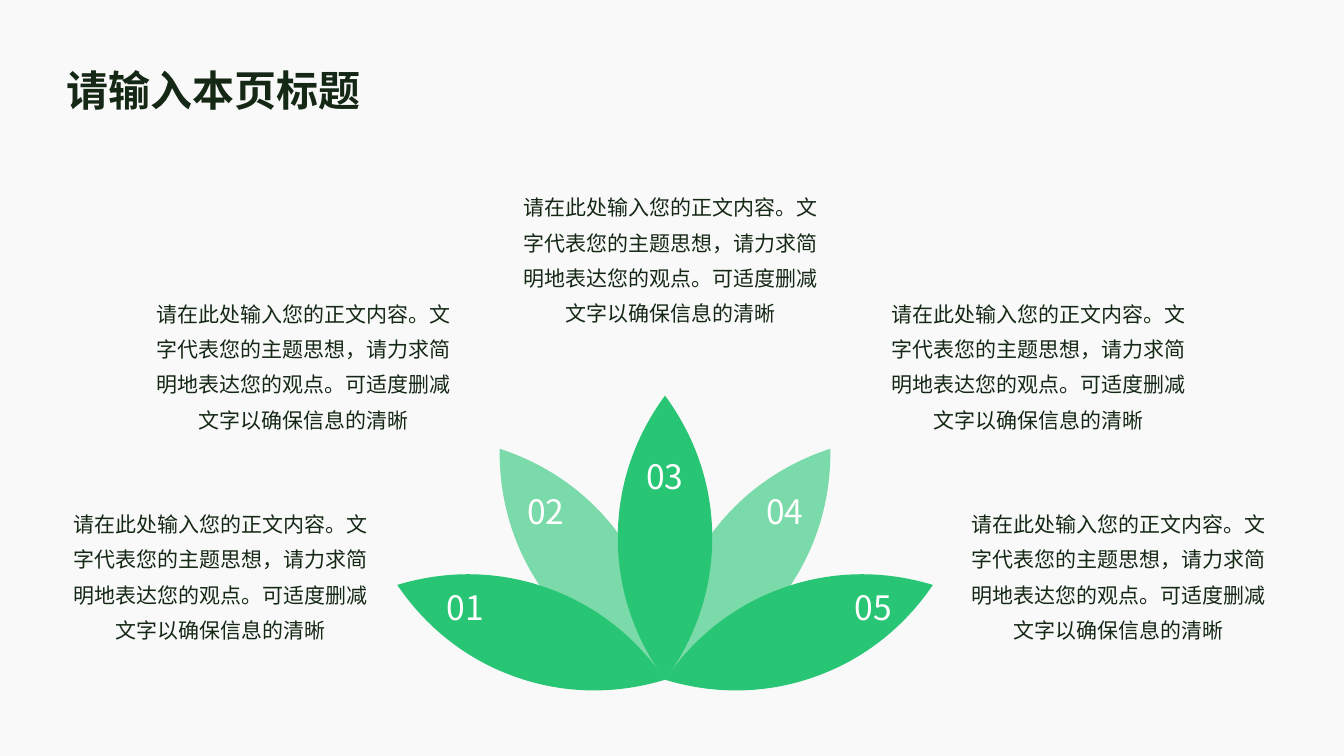
import math
from dataclasses import dataclass

from lxml import etree
from pptx import Presentation
from pptx.dml.color import RGBColor
from pptx.enum import text
from pptx.oxml.ns import qn
from pptx.util import Cm, Pt

TITLE = "请输入本页标题"
BODY = "请在此处输入您的正文内容。文字代表您的主题思想，请力求简明地表达您的观点。可适度删减文字以确保信息的清晰"

# Lengths in cm: number centre, body left and top; lean in degrees from upright
PETALS = [
    dict(label="01", lean=-70.5, light=False, number=(11.73, 15.3), body=(1.49, 12.54)),
    dict(label="02", lean=-35.6, light=True, number=(13.76, 12.89), body=(3.58, 7.24)),
    dict(label="03", lean=0, light=False, number=(16.76, 12), body=(12.83, 4.56)),
    dict(label="04", lean=35.6, light=True, number=(19.78, 12.89), body=(22.1, 7.24)),
    dict(label="05", lean=70.5, light=False, number=(22.01, 15.3), body=(24.12, 12.54)),
]
STACK = [4, 3, 0, 1, 2]  # back to front
FLOWER_BASE = (16.76, 17.13)
PETAL_LENGTH = 7.16
PETAL_QUARTER = [(0, 0), (0.75, 1.02), (1.19, 2.24), (1.19, 3.58)]  # base to widest
BODY_SIZE = (8.15, 4.06)
NUMBER_SIZE = (2.36, 1.35)


@dataclass(frozen=True)
class Theme:
    font: str = "Noto Sans CJK SC"
    background: str = "F9F9F9"
    ink: str = "152815"
    petal: str = "28C674"
    number: str = "FFFFFF"
    light_alpha: int = 60
    title_size: int = 30
    body_size: int = 15
    number_size: int = 24
    spacing: float = 1.4


THEME = Theme()
LEFT, CENTER = text.PP_ALIGN.LEFT, text.PP_ALIGN.CENTER
TOP, MID = text.MSO_ANCHOR.TOP, text.MSO_ANCHOR.MIDDLE
TITLE_FORMAT = dict(size=THEME.title_size, color=THEME.ink, bold=True, align=LEFT,
                    anchor=MID, spacing=THEME.spacing, insets=(0.36, 0.36, 0.15, 0.36))
BODY_FORMAT = dict(size=THEME.body_size, color=THEME.ink, bold=False, align=CENTER,
                   anchor=TOP, spacing=THEME.spacing, insets=(0.18, 0.1, 0.18, 0.1))
NUMBER_FORMAT = dict(size=THEME.number_size, color=THEME.number, bold=False, align=CENTER,
                     anchor=MID, spacing=1.0, insets=(0.25, 0.13, 0.25, 0.13))


def add_text(slide, words, box, fmt):
    tf = slide.shapes.add_textbox(*map(Cm, box)).text_frame
    frame = dict(word_wrap=True, vertical_anchor=fmt["anchor"])
    for side, inset in zip(("left", "top", "right", "bottom"), fmt["insets"]):
        frame[f"margin_{side}"] = Cm(inset)
    p = tf.paragraphs[0]
    r = p.add_run()
    r.text = words
    r.font.color.rgb = RGBColor.from_string(fmt["color"])
    for target, values in (
        (tf, frame),
        (p, dict(alignment=fmt["align"], line_spacing=fmt["spacing"])),
        (r.font, dict(name=THEME.font, size=Pt(fmt["size"]), bold=fmt["bold"])),
    ):
        for name, value in values.items():
            setattr(target, name, value)
    etree.SubElement(r.font._element, qn("a:ea"), typeface=THEME.font)


def petal_points(lean):
    """Curve points of an upright petal turned clockwise about its base."""
    right = PETAL_QUARTER + [(x, PETAL_LENGTH - y) for x, y in PETAL_QUARTER[-2::-1]]
    outline = right + [(-x, y) for x, y in right[-2::-1]]
    cos, sin = math.cos(math.radians(lean)), math.sin(math.radians(lean))
    base_x, base_y = FLOWER_BASE
    return [(Cm(base_x + x * cos + y * sin), Cm(base_y + x * sin - y * cos))
            for x, y in outline]


def curve_segments(sp):
    """Turn each three straight segments into one cubic curve."""
    lines = list(sp._element.iter(qn("a:lnTo")))
    for first, second, third in zip(*[iter(lines)] * 3):
        first.tag = qn("a:cubicBezTo")
        curve = etree.Element(qn("a:cubicBezTo"))
        first.addprevious(curve)
        for line in (first, second, third):
            curve.append(line[0])
            line.getparent().remove(line)


def add_petal(slide, petal):
    start, *rest = petal_points(petal["lean"])
    builder = slide.shapes.build_freeform(*start)
    builder.add_line_segments(rest, close=True)
    sp = builder.convert_to_shape()
    curve_segments(sp)
    sp.shadow.inherit = False
    sp.line.fill.background()
    sp.fill.solid()
    sp.fill.fore_color.rgb = RGBColor.from_string(THEME.petal)
    if petal["light"]:
        color = sp._element.spPr.find(qn("a:solidFill")).find(qn("a:srgbClr"))
        etree.SubElement(color, qn("a:alpha"), val=str(THEME.light_alpha * 1000))


def main():
    prs = Presentation()
    prs.slide_width, prs.slide_height = Cm(33.87), Cm(19.05)
    slide = prs.slides.add_slide(prs.slide_layouts[6])
    slide.background.fill.solid()
    slide.background.fill.fore_color.rgb = RGBColor.from_string(THEME.background)

    for petal in PETALS:
        add_text(slide, BODY, petal["body"] + BODY_SIZE, BODY_FORMAT)
    for index in STACK:
        add_petal(slide, PETALS[index])
    width, height = NUMBER_SIZE
    for petal in PETALS:
        x, y = petal["number"]
        add_text(slide, petal["label"],
                 (x - width / 2, y - height / 2, width, height), NUMBER_FORMAT)
    add_text(slide, TITLE, (1.32, 0.74, 31.22, 2.54), TITLE_FORMAT)
    prs.save("out.pptx")


if __name__ == "__main__":
    main()
